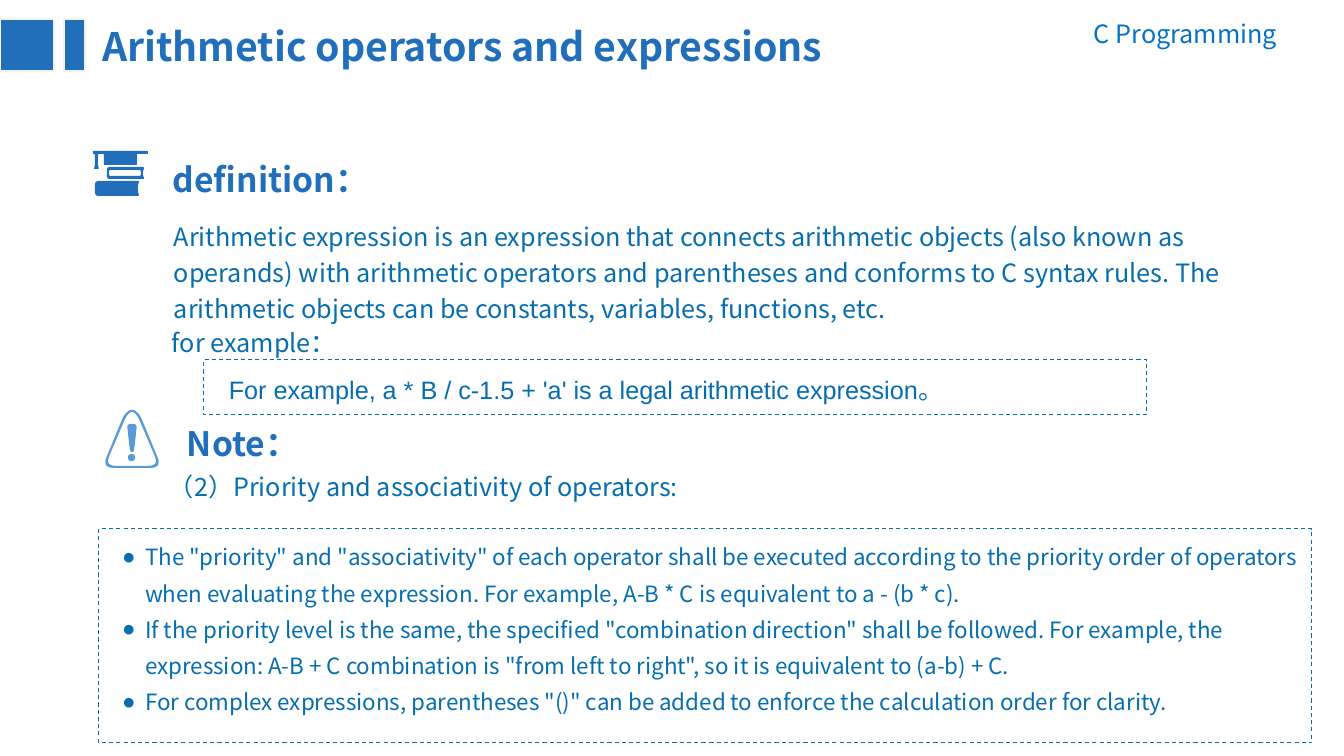
from math import hypot

from pptx import Presentation
from pptx import util as u
from pptx.dml.color import RGBColor
from pptx.enum import dml, shapes, text
from pptx.oxml.ns import qn
from lxml import etree

PX = 914400 / 100.8
SANS = "Noto Sans CJK SC"
COLORS = {
    "heading": "216FBA",
    "body": "076EAD",
    "course": "0573C2",
    "warning": "5B9BD5",
    "edge": "F2F2F2",
}

DEFINITION = (
    "Arithmetic expression is an expression that connects arithmetic objects "
    "(also known as operands) with arithmetic operators and parentheses and "
    "conforms to C syntax rules. The arithmetic objects can be constants, "
    "variables, functions, etc."
)
RULES = [
    'The "priority" and "associativity" of each operator shall be executed '
    "according to the priority order of operators when evaluating the "
    "expression. For example, A-B * C is equivalent to a - (b * c).",
    'If the priority level is the same, the specified "combination direction" '
    "shall be followed. For example, the expression: A-B + C combination is "
    '"from left to right", so it is equivalent to (a-b) + C.',
    'For complex expressions, parentheses "()" can be added to enforce the '
    "calculation order for clarity.",
]

# Each icon is a list of contours: corner points in px and a corner radius.
BOOKS = [
    ([(95, 181), (140, 181), (138, 184), (138, 193), (140, 196), (95, 196)], 4),
    ([(107, 167), (145, 167), (143, 171), (143, 176), (145, 179), (107, 179)], 3),
    ([(109, 170), (141, 170), (141, 176), (109, 176)], 2),
    ([(93, 151), (148, 151), (148, 154), (137, 154), (137, 165), (104, 165),
      (104, 154), (98, 154), (98, 165), (99, 169), (94, 169), (95, 165),
      (95, 154), (93, 154)], 1),
]
WARNING = [
    ([(126, 410), (138, 410), (162, 468), (102, 468)], 12),
    ([(128, 412), (136, 412), (159, 466), (105, 466)], 11),
    ([(127, 424), (137, 424), (134, 452), (130, 452)], 4),
    ([(128, 454), (135, 454), (135, 461), (128, 461)], 4),
]


def px(length):
    return u.Emu(round(length * PX))


def color(name):
    return RGBColor.from_string(COLORS[name])


def place(shape, box):
    shape.left, shape.top, shape.width, shape.height = map(px, box)


def write(shape, paragraphs, size=18, ink="body", bold=False, font=SANS,
          align=text.PP_ALIGN.LEFT, spacing=1.0, bullet=None):
    """Fill a text shape with one format; East Asian characters use SANS."""
    frame = shape.text_frame
    frame.word_wrap = True
    frame.auto_size = text.MSO_AUTO_SIZE.NONE
    frame.vertical_anchor = text.MSO_ANCHOR.TOP
    frame.text = "\n".join(paragraphs)
    for paragraph in frame.paragraphs:
        paragraph.alignment = align
        paragraph.line_spacing = spacing
        paragraph.space_before = u.Pt(0)
        if bullet:
            add_bullet(paragraph, bullet)
        for run in paragraph.runs:
            run.font.size = u.Pt(size)
            run.font.bold = bold
            run.font.color.rgb = color(ink)
            run.font.name = font
            east_asian = etree.SubElement(run.font._element, qn("a:ea"))
            east_asian.set("typeface", SANS)


def add_bullet(paragraph, character, indent=23):
    properties = paragraph._p.get_or_add_pPr()
    properties.set("marL", str(px(indent)))
    properties.set("indent", str(-px(indent)))
    etree.SubElement(properties, qn("a:buChar")).set("char", character)


def add_text(slide, box, content, **style):
    write(slide.shapes.add_textbox(*map(px, box)), [content], **style)


def paint(shape, fill=None, line=None, width=1):
    shape.shadow.inherit = False
    if fill:
        shape.fill.solid()
        shape.fill.fore_color.rgb = color(fill)
    else:
        shape.fill.background()
    if line:
        shape.line.color.rgb = color(line)
        shape.line.width = u.Pt(width)
    else:
        shape.line.fill.background()


def add_rectangle(slide, box, **style):
    shape = slide.shapes.add_shape(shapes.MSO_SHAPE.RECTANGLE, *map(px, box))
    paint(shape, **style)
    return shape


def add_dashed_box(slide, box):
    shape = add_rectangle(slide, box, line="body", width=0.75)
    shape.line.dash_style = dml.MSO_LINE.DASH


def round_corners(corners, radius, steps=6):
    """Replace each corner by points on a quadratic curve."""
    points = []
    for index, (x, y) in enumerate(corners):
        ends = []
        for near_x, near_y in (corners[index - 1],
                               corners[(index + 1) % len(corners)]):
            length = hypot(near_x - x, near_y - y)
            share = min(radius / length, 0.5)
            ends.append((x + (near_x - x) * share, y + (near_y - y) * share))
        (x0, y0), (x1, y1) = ends
        for step in range(steps + 1):
            t = step / steps
            a, b, c = (1 - t) ** 2, 2 * t * (1 - t), t ** 2
            points.append((a * x0 + b * x + c * x1, a * y0 + b * y + c * y1))
    return points


def add_icon(slide, contours, fill):
    """Draw all contours as one shape; a contour inside another is a hole."""
    builder = None
    for corners, radius in contours:
        start, *rest = [(x * 10, y * 10)
                        for x, y in round_corners(corners, radius)]
        if builder is None:
            builder = slide.shapes.build_freeform(*start, scale=PX / 10)
        else:
            builder.move_to(*start)
        builder.add_line_segments(rest, close=True)
    paint(builder.convert_to_shape(), fill=fill)


def main():
    presentation = Presentation()
    presentation.slide_width, presentation.slide_height = px(1344), px(756)
    slide = presentation.slides.add_slide(presentation.slide_layouts[1])
    title, rules = slide.placeholders

    add_text(slide, (985, 13, 302, 40), "C Programming", ink="course",
             align=text.PP_ALIGN.RIGHT)
    place(title, (92, 17, 834, 58))
    write(title, ["Arithmetic operators and expressions"], size=28,
          ink="heading", bold=True)
    for left, width in ((0, 54), (64, 21)):
        add_rectangle(slide, (left, 19, width, 52),
                      fill="heading", line="edge")

    heading = dict(size=24, ink="heading", bold=True, spacing=1.2)
    add_icon(slide, BOOKS, "heading")
    add_text(slide, (163, 146, 405, 58), "definition：", **heading)
    add_text(slide, (164, 210, 1098, 120), DEFINITION, spacing=1.2)
    add_text(slide, (162, 316, 405, 46), "for example：", spacing=1.2)
    add_dashed_box(slide, (204, 360, 943, 55))
    add_text(slide, (219, 369, 799, 40),
             "For example, a * B / c-1.5 + 'a' is a legal arithmetic "
             "expression。", font="Arial")

    add_icon(slide, WARNING, "warning")
    add_text(slide, (177, 410, 405, 58), "Note：", **heading)
    add_text(slide, (159, 460, 706, 46),
             "（2）Priority and associativity of operators:", spacing=1.2)
    place(rules, (112, 529, 1206, 194))
    write(rules, RULES, size=16, spacing=1.35, bullet="●")
    add_dashed_box(slide, (99, 529, 1213, 214))

    presentation.save("out.pptx")


if __name__ == "__main__":
    main()
